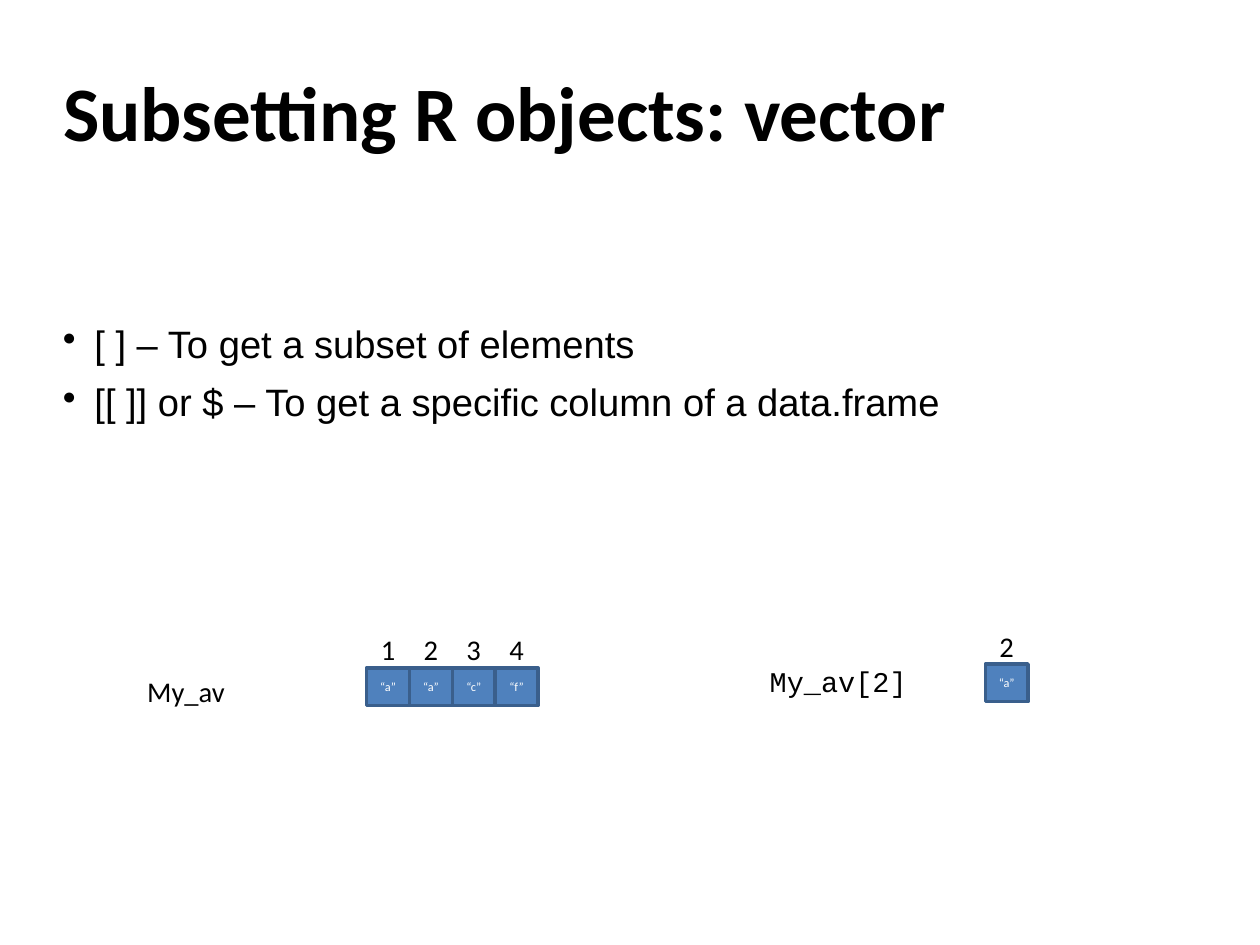
"""Build a slide on subsetting R vectors with bracket indexing."""
from dataclasses import dataclass

import pptx
import pptx.dml.color
import pptx.enum.shapes
import pptx.enum.text
import pptx.oxml
import pptx.oxml.ns
import pptx.util

TITLE = "Subsetting R objects: vector"
BULLETS = ["[ ] – To get a subset of elements",
           "[[ ]] or $ – To get a specific column of a data.frame"]
VECTORS = [
    {"cells": [("1", "“a”"), ("2", "“a”"), ("3", "“c”"), ("4", "“f”")], "at": (2.91, 5.3)},
    {"cells": [("2", "“a”")], "at": (7.82, 5.27)},
]


@dataclass(frozen=True)
class Theme:
    """Colours, fonts and type sizes."""
    ink: str = "000000"
    cell: str = "4F81BD"
    edge: str = "3A5F8C"
    light: str = "FFFFFF"
    head: str = "Calibri"
    body: str = "Arial"
    code: str = "Courier New"
    title_size: float = 44
    body_size: float = 21.8
    label_size: float = 16.3
    cell_size: float = 7


THEME = Theme()
LABELS = [("My_av", (1.07, 5.3, 1.64, 0.38), THEME.head),
          ("My_av[2]", (6.01, 5.22, 1.32, 0.38), THEME.code)]
WIDTH, HEIGHT = 10, 7.5
MARGIN = WIDTH * 0.05
CONTENT = WIDTH - 2 * MARGIN
CELL_W, CELL_H = 0.34, 0.3
INDEX_RISE, INDEX_H = 0.33, 0.38
INDENT = 0.25
ALIGN = pptx.enum.text.PP_ALIGN
ANCHOR = pptx.enum.text.MSO_ANCHOR


def rgb(value):
    """Return a colour object for a hex string."""
    return pptx.dml.color.RGBColor.from_string(value)


def inches(box):
    """Convert a sequence of inches to lengths."""
    return [pptx.util.Inches(v) for v in box]


def set_text(sp, lines, font, size, color=THEME.ink, align=ALIGN.LEFT,
             anchor=ANCHOR.TOP, inset=(0, 0), bold=False):
    """Fill a shape with uniformly styled paragraphs and return them."""
    tf = sp.text_frame
    tf.word_wrap = True
    tf.auto_size = pptx.enum.text.MSO_AUTO_SIZE.NONE
    tf.vertical_anchor = anchor
    tf.margin_left = tf.margin_right = pptx.util.Inches(inset[0])
    tf.margin_top = tf.margin_bottom = pptx.util.Inches(inset[1])
    tf.text = "\n".join(lines)
    for p in tf.paragraphs:
        p.alignment = align
        p.font.name, p.font.size, p.font.bold = font, pptx.util.Pt(size), bold
        p.font.color.rgb = rgb(color)
    return tf.paragraphs


def add_title(s):
    """Place and format the title placeholder."""
    sp = s.shapes.title
    sp.left, sp.top, sp.width, sp.height = inches((MARGIN, 0.3, CONTENT, 1.25))
    p, = set_text(sp, [TITLE], THEME.head, THEME.title_size, anchor=ANCHOR.MIDDLE, bold=True)
    p.line_spacing = 0.9


def add_bullets(s):
    """Add the bulleted list."""
    sp = s.shapes.add_textbox(*inches((MARGIN, 2.58, CONTENT, 3.42)))
    for p in set_text(sp, BULLETS, THEME.body, THEME.body_size):
        p.line_spacing = 0.9
        p.space_before = pptx.util.Pt(10)
        pPr = p._p.get_or_add_pPr()
        pPr.set("marL", str(pptx.util.Inches(INDENT)))
        pPr.set("indent", str(-pptx.util.Inches(INDENT)))
        bullet = pptx.oxml.parse_xml(f'<a:buChar {pptx.oxml.ns.nsdecls("a")} char="•"/>')
        pPr.insert_element_before(bullet, "a:tabLst", "a:defRPr", "a:extLst")


def add_vector(s, cells, at):
    """Draw a row of cells with an index above each one."""
    left, top = at
    for i, (index, value) in enumerate(cells):
        x = left + i * CELL_W
        sp = s.shapes.add_shape(pptx.enum.shapes.MSO_SHAPE.RECTANGLE,
                                *inches((x, top, CELL_W, CELL_H)))
        sp.shadow.inherit = False
        sp.fill.solid()
        sp.fill.fore_color.rgb = rgb(THEME.cell)
        sp.line.color.rgb = rgb(THEME.edge)
        sp.line.width = pptx.util.Pt(2)
        set_text(sp, [value], THEME.head, THEME.cell_size, THEME.light,
                 ALIGN.CENTER, ANCHOR.MIDDLE)
        tb = s.shapes.add_textbox(*inches((x, top - INDEX_RISE, CELL_W, INDEX_H)))
        set_text(tb, [index], THEME.head, THEME.label_size, align=ALIGN.CENTER, inset=(0, 0.05))


def main():
    """Build and save the slide."""
    prs = pptx.Presentation()
    prs.slide_width, prs.slide_height = inches((WIDTH, HEIGHT))
    s = prs.slides.add_slide(prs.slide_layouts[5])
    add_title(s)
    add_bullets(s)
    for vector in VECTORS:
        add_vector(s, **vector)
    for text, box, font in LABELS:
        sp = s.shapes.add_textbox(*inches(box))
        set_text(sp, [text], font, THEME.label_size, inset=(0.1, 0.05))
    prs.save("out.pptx")


if __name__ == "__main__":
    main()
